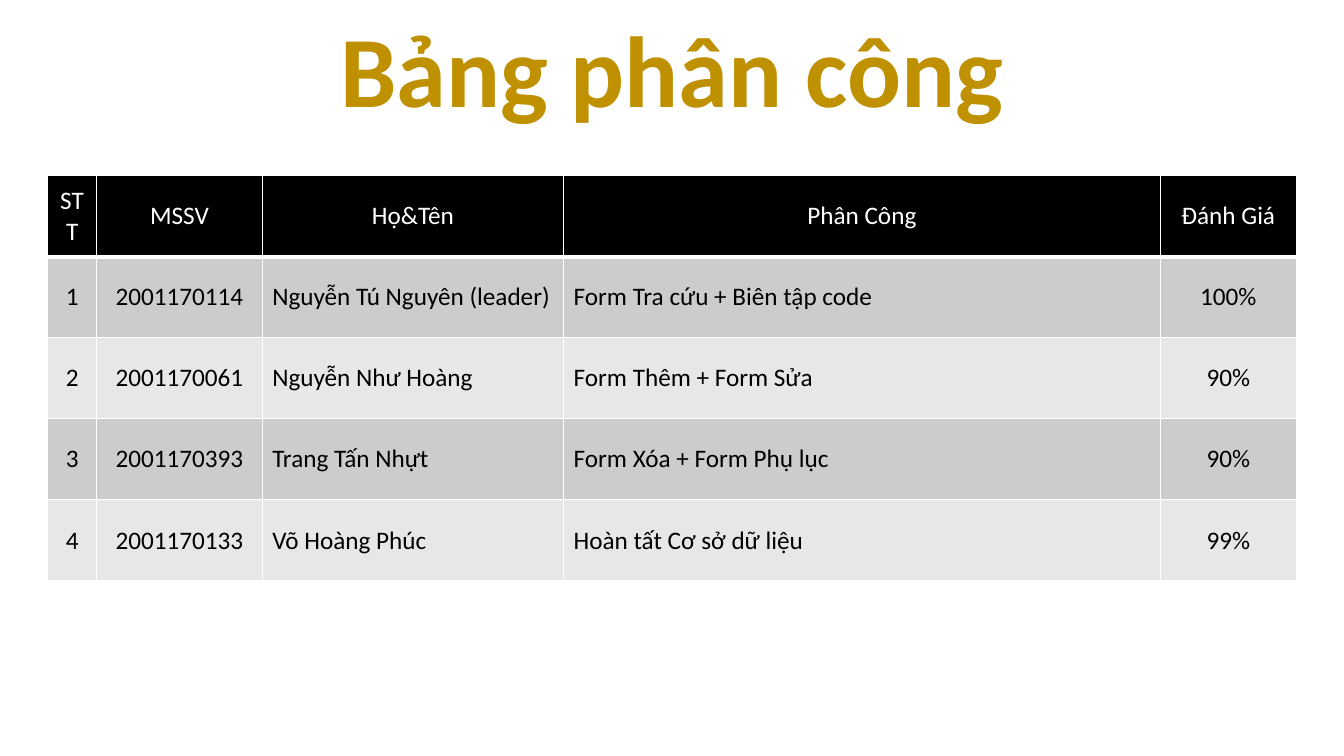
from lxml.etree import SubElement
from pptx import Presentation
from pptx.dml.color import RGBColor
from pptx.enum.text import MSO_ANCHOR as ANCHOR, PP_ALIGN as ALIGN
from pptx.oxml.ns import qn
from pptx.util import Pt

FONT = "Calibri"
COLORS = {
    "title": "BF9000",
    "header": "000000",
    "odd": "CCCCCC",
    "even": "E7E7E7",
    "white": "FFFFFF",
    "text": "000000",
}
COL_WIDTHS = [35.3, 118.1, 215.3, 426.2, 97.2]
ROW_HEIGHT = 57.9
LEFT_COLS = (2, 3)
ROWS = [
    ["STT", "MSSV", "Họ&Tên", "Phân Công", "Đánh Giá"],
    ["1", "2001170114", "Nguyễn Tú Nguyên (leader)", "Form Tra cứu + Biên tập code", "100%"],
    ["2", "2001170061", "Nguyễn Như Hoàng", "Form Thêm + Form Sửa", "90%"],
    ["3", "2001170393", "Trang Tấn Nhựt", "Form Xóa + Form Phụ lục", "90%"],
    ["4", "2001170133", "Võ Hoàng Phúc", "Hoàn tất Cơ sở dữ liệu", "99%"],
]


def rgb(name):
    return RGBColor.from_string(COLORS[name])


def style_paragraph(p, size, color, align, bold=False):
    p.alignment = align
    p.font.name = FONT
    p.font.size = Pt(size)
    p.font.bold = bold
    p.font.color.rgb = rgb(color)


def add_title(s, text, left, top, width, height):
    sp = s.shapes.add_textbox(Pt(left), Pt(top), Pt(width), Pt(height))
    tf = sp.text_frame
    tf.word_wrap = True
    tf.vertical_anchor = ANCHOR.BOTTOM
    p = tf.paragraphs[0]
    p.text = text
    p.line_spacing = 0.9
    style_paragraph(p, 72, "title", ALIGN.CENTER, bold=True)


def set_borders(cell, bottom):
    tc_pr = cell._tc.get_or_add_tcPr()
    for side, width in (("L", 1), ("R", 1), ("T", 1), ("B", bottom)):
        ln = SubElement(tc_pr, qn(f"a:ln{side}"), w=str(Pt(width)))
        fill = SubElement(ln, qn("a:solidFill"))
        SubElement(fill, qn("a:srgbClr"), val=COLORS["white"])


def fill_cell(cell, text, row, col):
    is_header = row == 0
    set_borders(cell, 3 if is_header else 1)
    cell.fill.solid()
    cell.fill.fore_color.rgb = rgb("header" if is_header else "odd" if row % 2 else "even")
    cell.vertical_anchor = ANCHOR.MIDDLE
    p = cell.text_frame.paragraphs[0]
    p.text = text
    align = ALIGN.LEFT if col in LEFT_COLS and not is_header else ALIGN.CENTER
    style_paragraph(p, 18, "white" if is_header else "text", align)


def add_assignment_table(s, left, top):
    frame = s.shapes.add_table(
        len(ROWS), len(COL_WIDTHS), Pt(left), Pt(top),
        Pt(sum(COL_WIDTHS)), Pt(ROW_HEIGHT * len(ROWS)),
    )
    table = frame.table
    for column, width in zip(table.columns, COL_WIDTHS):
        column.width = Pt(width)
    for row, texts in enumerate(ROWS):
        table.rows[row].height = Pt(ROW_HEIGHT)
        for col, text in enumerate(texts):
            fill_cell(table.cell(row, col), text, row, col)


def main():
    prs = Presentation()
    prs.slide_width, prs.slide_height = Pt(960), Pt(540)
    s = prs.slides.add_slide(prs.slide_layouts[6])
    add_assignment_table(s, 33.9, 125.5)
    add_title(s, "Bảng phân công", 120, 88.6, 720, 3.6)
    prs.save("out.pptx")


if __name__ == "__main__":
    main()
